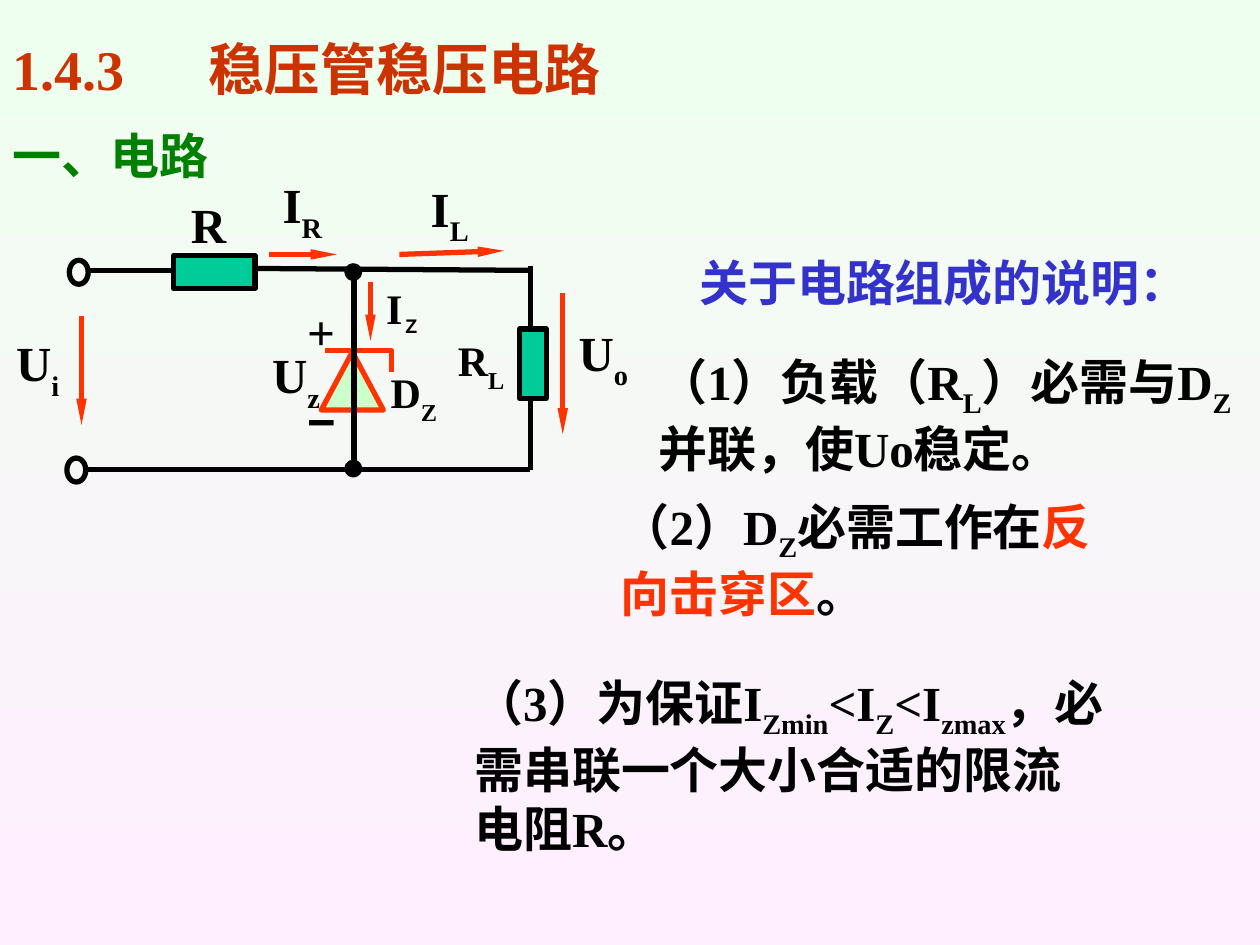
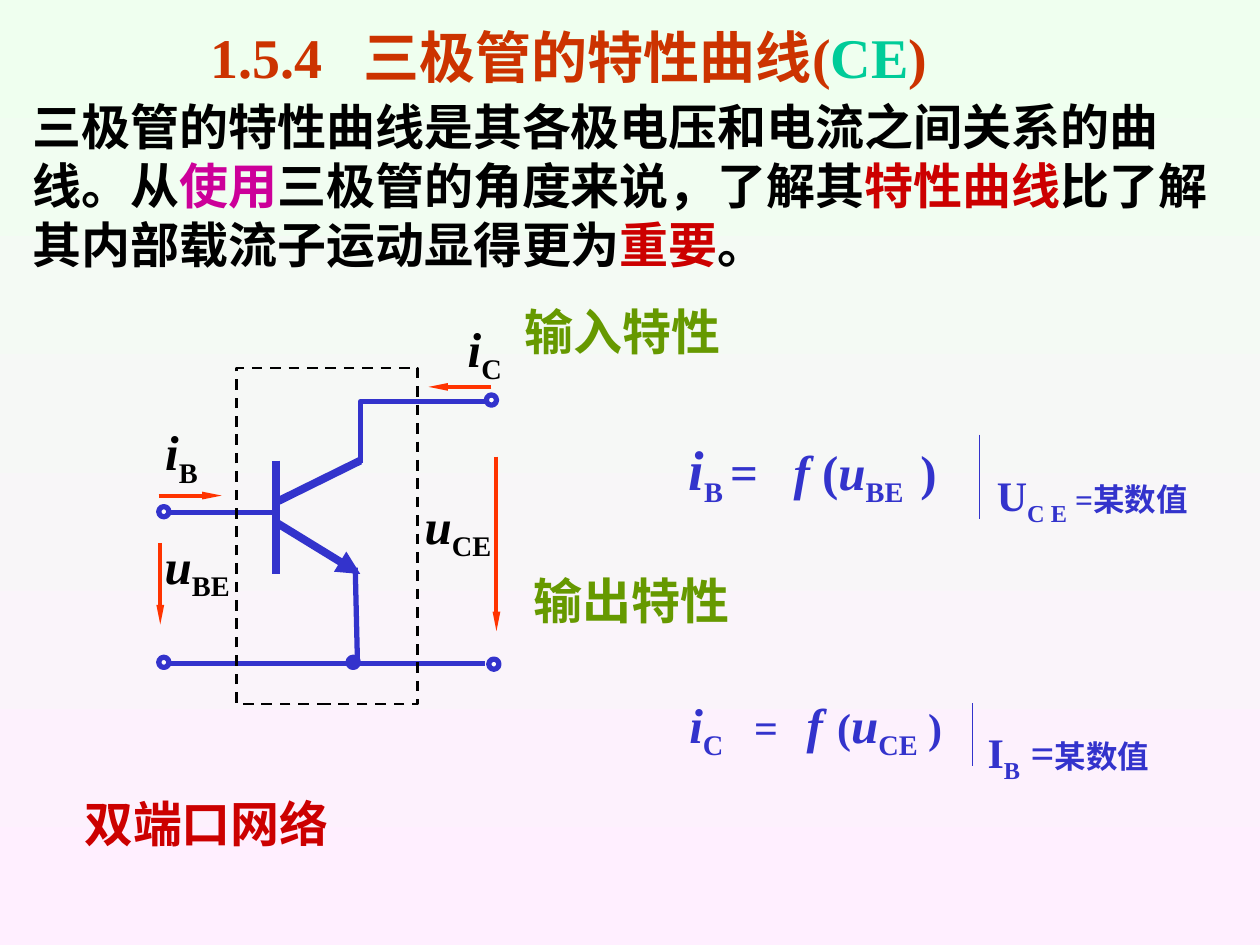
from dataclasses import dataclass
from typing import Any

from lxml.etree import SubElement
from pptx import Presentation
from pptx.dml.color import RGBColor
from pptx.enum.dml import MSO_LINE
from pptx.enum.shapes import MSO_CONNECTOR, MSO_SHAPE
from pptx.enum.text import MSO_ANCHOR, MSO_AUTO_SIZE, PP_ALIGN
from pptx.oxml.ns import qn
from pptx.util import Pt

BLACK = RGBColor(0x00, 0x00, 0x00)
WHITE = RGBColor(0xFF, 0xFF, 0xFF)
RUST = RGBColor(0xCC, 0x33, 0x00)
ORANGE = RGBColor(0xFF, 0x33, 0x00)
RED = RGBColor(0xCC, 0x00, 0x00)
MAGENTA = RGBColor(0xCC, 0x00, 0x99)
GREEN = RGBColor(0x00, 0x80, 0x00)
OLIVE = RGBColor(0x66, 0x99, 0x00)
TEAL = RGBColor(0x00, 0xCC, 0x99)
PALE_GREEN = RGBColor(0xCC, 0xFF, 0xCC)
BLUE = RGBColor(0x33, 0x33, 0xCC)
SKY_TOP = RGBColor(0xEF, 0xFF, 0xEF)
SKY_BOTTOM = RGBColor(0xFF, 0xEF, 0xFF)
SERIF = "Times New Roman"


def sub(text, drop=-25, **style):
    return text, {"drop": drop, **style}


def italic(text, **style):
    return text, {"italic": True, **style}


def tinted(text, color):
    return text, {"color": color}


def add_run(paragraph, part, size, color):
    text, style = (part, {}) if isinstance(part, str) else part
    run = paragraph.add_run()
    run.text = text
    font = run.font
    font.name = style.get("font", SERIF)
    font.size = Pt(style.get("size", size))
    font.bold = True
    font.italic = style.get("italic", False)
    font.color.rgb = style.get("color", color)
    properties = font._element
    properties.set("lang", "zh-CN")
    if "drop" in style:
        properties.set("baseline", str(style["drop"] * 1000))


def write(box, *lines, size=28, color=BLACK, align=PP_ALIGN.LEFT, wrap=True, stops=()):
    frame = box.text_frame
    frame.auto_size = MSO_AUTO_SIZE.NONE
    frame.word_wrap = wrap
    frame.vertical_anchor = MSO_ANCHOR.TOP
    for i, parts in enumerate(lines):
        paragraph = frame.add_paragraph() if i else frame.paragraphs[0]
        paragraph.alignment = align
        paragraph.space_before = Pt(17.5 if i else 0)
        layout = paragraph._p.get_or_add_pPr()
        layout.set("hangingPunct", "0")
        if stops:
            tabs = SubElement(layout, qn("a:tabLst"))
            for stop in stops:
                SubElement(tabs, qn("a:tab"), pos=str(Pt(stop)), algn="l")
        else:
            layout.set("marL", "0")
            layout.set("indent", "0")
            SubElement(layout, qn("a:buNone"))
        for part in parts:
            add_run(paragraph, part, size, color)


def place(box, left, top, width, height):
    box.left, box.top, box.width, box.height = map(Pt, (left, top, width, height))
    return box


def outline(shape, color, width, fill=None):
    shape.shadow.inherit = False
    shape.line.color.rgb = color
    shape.line.width = Pt(width)
    if fill is None:
        shape.fill.background()
    else:
        shape.fill.solid()
        shape.fill.fore_color.rgb = fill


@dataclass
class Region:
    slide: Any
    left: float
    top: float

    def spot(self, x, y):
        return Pt(self.left + x), Pt(self.top + y)

    def wire(self, start, end, color=BLACK, width=3, head=None):
        line = self.slide.shapes.add_connector(
            MSO_CONNECTOR.STRAIGHT, *self.spot(*start), *self.spot(*end))
        line.line.color.rgb = color
        line.line.width = Pt(width)
        properties = line._element.spPr
        if head:
            SubElement(line.line._get_or_add_ln(), qn("a:tailEnd"),
                       type="triangle", w=head[0], len=head[1])
        SubElement(properties, qn("a:effectLst"))

    def current(self, start, end, width=3):
        self.wire(start, end, ORANGE, width, ("sm", "lg"))

    def bent(self, points, color):
        first, *rest = [self.spot(*point) for point in points]
        builder = self.slide.shapes.build_freeform(*first)
        builder.add_line_segments(rest, close=False)
        outline(builder.convert_to_shape(), color, 3)

    def block(self, kind, x, y, width, height, fill=None, color=BLACK, weight=3):
        shape = self.slide.shapes.add_shape(
            kind, *self.spot(x, y), Pt(width), Pt(height))
        outline(shape, color, weight, fill)
        return shape

    def dot(self, x, y, width, height, fill=None, color=BLACK):
        self.block(MSO_SHAPE.OVAL, x - width / 2, y - height / 2,
                   width, height, fill, color)

    def text(self, x, y, width, height, *lines, **style):
        box = self.slide.shapes.add_textbox(
            *self.spot(x, y), Pt(width), Pt(height))
        write(box, *lines, **style)

    def label(self, center, y, *parts, size=28):
        self.text(center - 26, y, 52, 45, parts, size=size,
                  align=PP_ALIGN.CENTER, wrap=False)


def add_title(slide, left, top, width, stop, *parts):
    title = place(slide.shapes.title, left, top, width, 46)
    write(title, parts, size=32, color=RUST, stops=(stop,))


def zener_circuit(slide, left, top):
    circuit = Region(slide, left, top)
    load_x, diode_x, rail_y = 303, 202.3, 172.4
    circuit.wire((load_x, 56), (load_x, rail_y))
    circuit.wire((49.7, 58.5), (99.4, 58.5))
    circuit.wire((143.3, 57.4), (301.7, 58.5))
    circuit.wire((48.2, rail_y), (load_x, rail_y))
    for x, y in ((45, 59.6), (43.6, 172.6)):
        circuit.dot(x, y, 10.8, 13.7)
    circuit.block(MSO_SHAPE.RECTANGLE, 99.2, 50.2, 46.6, 18.7, TEAL)
    circuit.block(MSO_SHAPE.RECTANGLE, 297, 92, 15.1, 39.6, TEAL)
    circuit.block(MSO_SHAPE.FLOWCHART_EXTRACT, 183.6, 105.2, 35.5, 33.1,
                  PALE_GREEN, ORANGE)
    circuit.bent([(185.8, 104.2), (223.6, 104.2), (223.6, 116.4)], ORANGE)
    circuit.wire((diode_x, 57.4), (diode_x, 171.8))
    for y in (59.5, 171.8):
        circuit.dot(diode_x - 0.4, y, 7.2, 7.2, BLACK)
    for start, end in (
        ((153.6, 49.4), (192.6, 49.4)),
        ((228.2, 49.4), (288, 47.3)),
        ((211.7, 65.3), (211.7, 98.8)),
        ((46.6, 84.7), (46.6, 146.8)),
        ((321.6, 71.3), (321.6, 152.2)),
    ):
        circuit.current(start, end)
    circuit.label(119.2, 11.7, "R")
    for center, y, size, name, index in (
        (21.6, 90.5, 28, "U", "i"),
        (257, 2.3, 28, "I", "L"),
        (344.8, 84.5, 28, "U", "o"),
        (236.5, 110, 24, "D", "Z"),
        (275, 91.6, 24, "R", "L"),
        (172.8, 0.2, 28, "I", "R"),
        (169.2, 97.4, 28, "U", "z"),
    ):
        circuit.label(center, y, name, sub(index, -30), size=size)
    circuit.label(230.6, 61.8, "I", sub("Ｚ", -30, size=18), size=24)
    circuit.text(168.5, 72.5, 31.7, 92, ["+"], [("−", {"font": "Arial"})])


def regulator_slide(deck):
    slide = deck.slides.add_slide(deck.slide_layouts[4])
    add_title(slide, 0, 16, 387, 112, "1.4.3\t稳压管稳压电路")
    Region(slide, 0, 68.4).text(0, 0, 368, 41, ["一、电路"], color=GREEN)
    zener_circuit(slide, 0, 96)
    heading, load_note, diode_note, resistor_note = (
        slide.placeholders[i] for i in (1, 2, 3, 4))
    write(place(heading, 392.4, 140.4, 327.6, 41), ["关于电路组成的说明："], color=BLUE)
    write(place(load_note, 369, 197.5, 351, 83.5),
          ["（1）负载（R", sub("L"), "）必需与D", sub("Z"), "并联，使Uo稳定。"])
    write(place(diode_note, 347.5, 280, 305.3, 79.2),
          ["（2）D", sub("Z"), "必需工作在", tinted("反向击穿区", ORANGE), "。"])
    write(place(resistor_note, 263.8, 380.9, 375.8, 113),
          ["（3）为保证I", sub("Zmin"), "<I", sub("Z"), "<I", sub("zmax"),
           "，必需串联一个大小合适的限流电阻R。"])


def transistor_circuit(slide, left, top):
    circuit = Region(slide, left, top)
    base_x, corner_x = 70.7, 118.9
    circuit.wire((base_x, 84.8), (base_x, 149.6), BLUE, 4.5)
    circuit.wire((base_x, 120.1), (corner_x, 149.6), BLUE, 4.5, ("med", "med"))
    circuit.wire((base_x, 108.6), (corner_x, 84.8), BLUE, 4.5)
    circuit.bent([(corner_x, 86.2), (corner_x, 51), (190.9, 51)], BLUE)
    circuit.wire((base_x, 114.3), (10.9, 114.3), BLUE)
    circuit.wire((10.2, 200.7), (190.2, 200.7), BLUE)
    circuit.wire((116, 146), (117.3, 201.4), BLUE)
    for x, y in ((6.6, 114), (195.2, 201.1), (193.8, 50.2), (6.6, 200.1)):
        circuit.dot(x, y, 5.8, 5.8, WHITE, BLUE)
    circuit.dot(114.8, 200.1, 5.8, 5.8, BLUE, BLUE)
    for start, end in (
        ((4.6, 131.8), (4.6, 178.4)),
        ((196.7, 82.6), (196.7, 182.3)),
        ((3.7, 104.8), (39.7, 104.8)),
        ((193.8, 42.7), (157.8, 42.7)),
    ):
        circuit.current(start, end, 2.25)
    for center, y, name, index in (
        (190, 0, "i", "C"),
        (174.7, 101.2, "u", "CE"),
        (25.7, 124, "u", "BE"),
        (16.7, 59.1, "i", "B"),
    ):
        circuit.label(center, y, italic(name), sub(index))
    frame = circuit.block(MSO_SHAPE.RECTANGLE, 48.2, 32, 103.5, 192, weight=1.5)
    frame.line.dash_style = MSO_LINE.DASH


def characteristic(slide, left, top, heading, formula, formula_at, stops,
                   bar, condition, condition_at):
    area = Region(slide, left, top)
    bar_x, bar_top, bar_bottom = bar
    area.text(0, 0, 142.6, 41, [heading], color=OLIVE)
    area.text(*formula_at, 170, 48, formula, color=BLUE, stops=stops)
    area.wire((bar_x, bar_top), (bar_x, bar_bottom), BLUE, 0.75)
    area.text(*condition_at, 140, 40, condition, size=24, color=BLUE)


def transistor_slide(deck):
    slide = deck.slides.add_slide(deck.slide_layouts[1])
    add_title(slide, 113, 9.2, 440, 87.5,
              "1.5.4\t三极管的特性曲线(", tinted("CE", TEAL), ")")
    write(place(slide.placeholders[1], 11.5, 51.8, 687.6, 108),
          ["三极管的特性曲线是其各极电压和电流之间关系的曲线。从",
           tinted("使用", MAGENTA), "三极管的角度来说，了解其",
           tinted("特性曲线", RED), "比了解其内部载流子运动显得更为",
           tinted("重要", RED), "。"])
    transistor_circuit(slide, 87, 178.4)
    characteristic(
        slide, 292.8, 168.5, "输入特性",
        [italic("i", size=32), sub("B "), "=\t", italic("f"), " (",
         italic("u"), sub("BE"), "\t)"],
        (93.6, 76.2), (60, 132.5), (267, 79.9, 128.2),
        ["U", sub("C E"), (" =某数值", {"size": 18})], (269.8, 96.5))
    characteristic(
        slide, 298, 322.6, "输出特性",
        [italic("i"), sub("C"), ("\t=\t", {"size": 24}), italic("f"),
         ("\t(", {"size": 24}), italic("u"), sub("CE"), (" )", {"size": 24})],
        (88.8, 70.5), (37, 67, 84.5), (257.8, 79.2, 115.2),
        ["I", sub("B"), " =", ("某数值", {"size": 18})], (259.3, 89.2))
    Region(slide, 41, 450).text(0, 0, 184, 41, ["双端口网络"], color=RED)


def paint_background(deck):
    fill = deck.slide_master.background.fill
    fill.gradient()
    fill.gradient_angle = 270
    for stop, color, position in zip(fill.gradient_stops, (SKY_TOP, SKY_BOTTOM), (0, 1)):
        stop.color.rgb = color
        stop.position = position


def main():
    deck = Presentation()
    deck.slide_width, deck.slide_height = Pt(720), Pt(540)
    paint_background(deck)
    regulator_slide(deck)
    transistor_slide(deck)
    deck.save("out.pptx")


if __name__ == "__main__":
    main()
